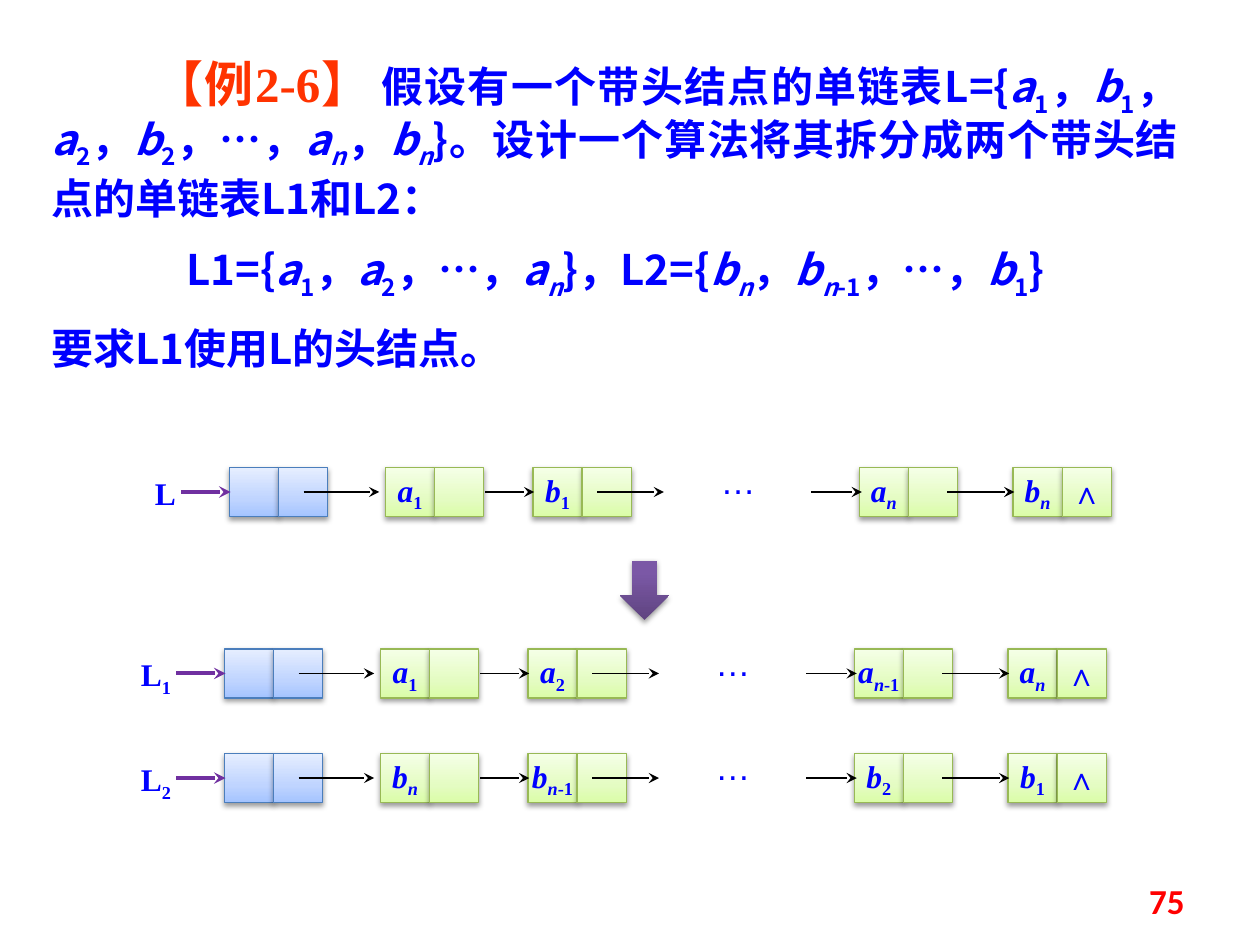
from dataclasses import dataclass

from pptx import Presentation
from pptx.dml.color import RGBColor
from pptx.enum.shapes import MSO_CONNECTOR, MSO_SHAPE
from pptx.enum.text import MSO_ANCHOR, PP_ALIGN
from pptx.oxml import parse_xml
from pptx.oxml.ns import nsdecls, qn
from pptx.oxml.xmlchemy import OxmlElement
from pptx.util import Inches, Pt


@dataclass(frozen=True)
class Theme:
    blue: str = "0000FF"
    orange: str = "FF3300"
    red: str = "FF0000"
    purple: str = "7030A0"
    black: str = "000000"
    head_line: str = "4B7EBC"
    node_line: str = "98B955"
    head_fill: tuple = ((0, "A4C4FF"), (35, "BFD4FF"), (100, "E6EEFF"))
    node_fill: tuple = ((0, "DAFDA7"), (35, "E4FCC2"), (100, "F5FFE7"))
    arrow_fill: tuple = ((0, "5F4480"), (80, "7B58A6"), (100, "7C57A8"))
    serif: str = "Times New Roman"
    chinese: str = "Noto Sans CJK SC"
    sans: str = "Arial"
    number_font: str = "Calibri"
    heading_size: int = 28
    body_size: int = 24
    dots_size: int = 20
    label_size: int = 18


THEME = Theme()
CELL = 0.39
NODE_OFFSETS = (1.24, 2.41, 5.0, 6.22)
LINK_SPANS = ((0.59, 1.19), (2.03, 2.42), (2.92, 3.45), (4.62, 5.02), (5.7, 6.23))


def add_runs(paragraph, markup, font, size, color, bold=True):
    """Pieces split at |; a leading / is italic, _ subscript, ~ italic subscript."""
    for piece in markup.split("|"):
        mark = piece[0] if piece[0] in "/_~" else ""
        run = paragraph.add_run()
        run.text = piece[len(mark):]
        run.font.name = font
        run.font.size = Pt(size)
        run.font.bold = bold
        run.font.italic = mark in ("/", "~")
        run.font.color.rgb = RGBColor.from_string(color)
        properties = run.font._element
        if mark in ("_", "~"):
            properties.set("baseline", "-25000")
        east_asian = OxmlElement("a:ea")
        east_asian.set("typeface", THEME.chinese)
        properties.find(qn("a:latin")).addnext(east_asian)


def set_half_line_before(paragraph):
    paragraph.space_before = Pt(0)
    spacing = paragraph._p.pPr.find(qn("a:spcBef"))
    spacing.remove(spacing[0])
    percent = OxmlElement("a:spcPct")
    percent.set("val", "50000")
    spacing.append(percent)


def add_text(shapes, box, markup, font, size, color, bold=True):
    text_box = shapes.add_textbox(*map(Inches, box))
    text_box.text_frame.word_wrap = True
    paragraph = text_box.text_frame.paragraphs[0]
    add_runs(paragraph, markup, font, size, color, bold)
    return text_box


def add_gradient_shape(shapes, kind, box, stops, line=None):
    shape = shapes.add_shape(kind, *map(Inches, box))
    shape.shadow.inherit = False
    shape.fill.gradient()
    shape.fill.gradient_angle = 90
    stop_list = shape._element.spPr.find(qn("a:gradFill")).find(qn("a:gsLst"))
    for stop in list(stop_list):
        stop_list.remove(stop)
    for position, color in stops:
        stop_list.append(parse_xml(
            f'<a:gs {nsdecls("a")} pos="{position * 1000}"><a:srgbClr val="{color}"/></a:gs>'))
    if line:
        shape.line.color.rgb = RGBColor.from_string(line)
        shape.line.width = Pt(0.75)
    else:
        shape.line.fill.background()
    shape._element.spPr.find(qn("a:effectLst")).append(parse_xml(
        f'<a:outerShdw {nsdecls("a")} blurRad="{Pt(3.1)}" dist="{Pt(1.6)}" dir="5400000" '
        f'rotWithShape="0"><a:srgbClr val="{THEME.black}"><a:alpha val="38000"/>'
        '</a:srgbClr></a:outerShdw>'))
    return shape


def add_arrow(shapes, start, end, y, color=THEME.black, width=0.75):
    arrow = shapes.add_connector(
        MSO_CONNECTOR.STRAIGHT, Inches(start), Inches(y), Inches(end), Inches(y))
    arrow.line.color.rgb = RGBColor.from_string(color)
    arrow.line.width = Pt(width)
    tip = OxmlElement("a:tailEnd")
    tip.set("type", "stealth")
    arrow.line._ln.append(tip)
    arrow._element.spPr.append(OxmlElement("a:effectLst"))


def add_node(shapes, left, top, labels, stops, line):
    """Two adjoining cells: data and pointer."""
    for column, label in enumerate(labels):
        cell = add_gradient_shape(
            shapes, MSO_SHAPE.RECTANGLE, (left + column * CELL, top, CELL, CELL), stops, line)
        if label:
            frame = cell.text_frame
            frame.word_wrap = False
            frame.vertical_anchor = MSO_ANCHOR.MIDDLE
            paragraph = frame.paragraphs[0]
            paragraph.alignment = PP_ALIGN.CENTER
            add_runs(paragraph, label, THEME.serif, THEME.label_size, THEME.blue)


def add_linked_list(slide, left, top, name, name_offset, labels):
    shapes = slide.shapes.add_group_shape().shapes
    middle = top + CELL / 2
    add_text(shapes, (left - name_offset, top, 0.61, 0.4), name,
             THEME.serif, THEME.label_size, THEME.blue)
    add_node(shapes, left, top, ("", ""), THEME.head_fill, THEME.head_line)
    for index, (offset, label) in enumerate(zip(NODE_OFFSETS, labels)):
        pointer = "∧" if index == len(labels) - 1 else ""
        add_node(shapes, left + offset, top, (label, pointer),
                 THEME.node_fill, THEME.node_line)
    add_text(shapes, (left + 3.8, top - 0.11, 0.79, 0.5), "…",
             THEME.sans, THEME.dots_size, THEME.blue, bold=False)
    add_arrow(shapes, left - 0.38, left + 0.01, middle, THEME.purple, 2.25)
    for start, end in LINK_SPANS:
        add_arrow(shapes, left + start, left + end, middle)


def add_problem(slide, box):
    text_box = slide.shapes.add_textbox(*map(Inches, box))
    frame = text_box.text_frame
    frame.word_wrap = True
    body = (THEME.chinese, THEME.body_size, THEME.blue)
    heading = (THEME.heading_size, THEME.orange)
    paragraphs = (
        (0.82, (
            ("【", THEME.chinese, *heading),
            ("例2-6", THEME.serif, *heading),
            ("】", THEME.chinese, *heading),
            (" ", THEME.chinese, THEME.dots_size, THEME.orange),
            ("假设有一个带头结点的单链表L={|/a|_1|，|/b|_1|，|/a|_2|，|/b|_2|，…，"
             "|/a|~n|，|/b|~n|}。设计一个算法将其拆分成两个带头结点的单链表L1和L2：", *body))),
        (1.07, (
            ("L1={|/a|_1|，|/a|_2|，…，|/a|~n|}，L2={|/b|~n|，|/b|~n|_-1|，…，|/b|_1|}", *body),)),
        (0, (("要求L1使用L的头结点。", *body),)),
    )
    for index, (indent, parts) in enumerate(paragraphs):
        paragraph = frame.add_paragraph() if index else frame.paragraphs[0]
        paragraph.alignment = PP_ALIGN.JUSTIFY
        if index == 0:
            paragraph.line_spacing = Pt(30)
        set_half_line_before(paragraph)
        paragraph._p.get_or_add_pPr().set("indent", str(Inches(indent)))
        for part in parts:
            add_runs(paragraph, *part)


def add_page_number(slide, box, number):
    text_box = add_text(slide.shapes, box, number,
                        THEME.number_font, THEME.dots_size, THEME.red)
    text_box.text_frame.vertical_anchor = MSO_ANCHOR.MIDDLE
    text_box.text_frame.paragraphs[0].alignment = PP_ALIGN.RIGHT


def main():
    presentation = Presentation()
    presentation.slide_width, presentation.slide_height = Inches(10), Inches(7.5)
    slide = presentation.slides.add_slide(presentation.slide_layouts[6])
    add_problem(slide, (0.31, 0.47, 9.14, 2.57))
    add_linked_list(slide, 1.82, 3.71, "L", 0.69, ("/a|_1", "/b|_1", "/a|~n", "/b|~n"))
    add_gradient_shape(slide.shapes, MSO_SHAPE.DOWN_ARROW,
                       (4.92, 4.45, 0.39, 0.47), THEME.arrow_fill)
    add_linked_list(slide, 1.78, 5.15, "L|_1", 0.76,
                    ("/a|_1", "/a|_2", "/a|~n|_-1", "/a|~n"))
    add_linked_list(slide, 1.78, 5.98, "L|_2", 0.76,
                    ("/b|~n", "/b|~n|_-1", "/b|_2", "/b|_1"))
    add_page_number(slide, (7.17, 6.95, 2.33, 0.4), "75")
    presentation.save("out.pptx")


if __name__ == "__main__":
    main()
